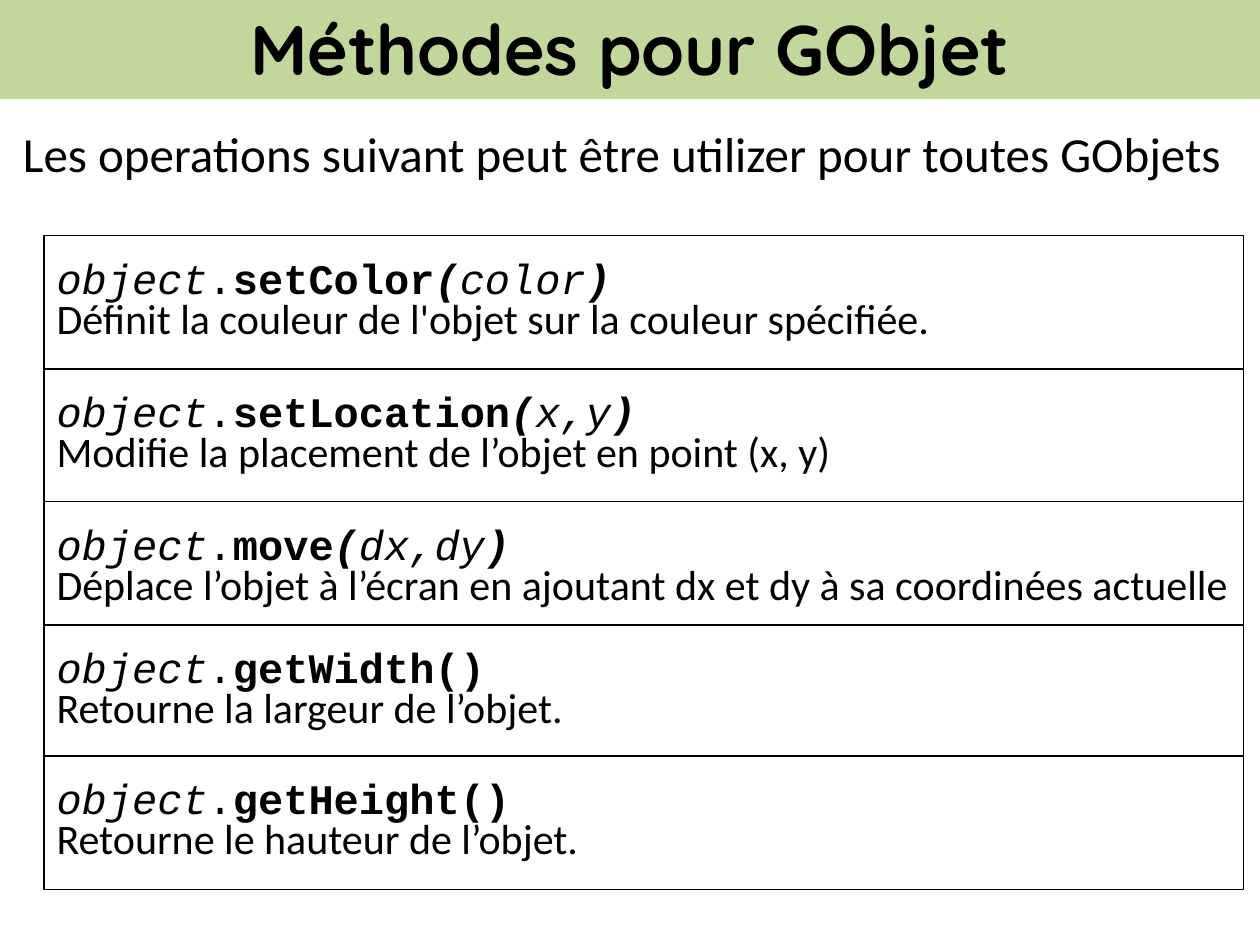
from dataclasses import dataclass

from pptx import Presentation
from pptx import util as u
from pptx.dml.color import RGBColor
from pptx.enum import shapes, text


@dataclass(frozen=True)
class Theme:
    ink: RGBColor = RGBColor(0, 0, 0)
    paper: RGBColor = RGBColor(255, 255, 255)
    band: RGBColor = RGBColor(0xC3, 0xD6, 0x9B)
    head: str = "Quicksand"
    body: str = "Calibri"
    code: str = "Courier New"
    title: int = 40
    lead: int = 28
    small: int = 24


@dataclass(frozen=True)
class Method:
    top: float
    name: str
    args: str
    note: str


LOOK = Theme()
LEFT, WIDE, HIGH = 0.89, 24.18, 2.69
METHODS = [
    Method(4.75, "setColor", "color",
           "Définit la couleur de l'objet sur la couleur spécifiée."),
    Method(7.44, "setLocation", "x,y",
           "Modifie la placement de l’objet en point (x, y)"),
    Method(10.11, "move", "dx,dy",
           "Déplace l’objet à l’écran en ajoutant dx et dy à sa coordinées actuelle"),
    Method(12.6, "getWidth", "", "Retourne la largeur de l’objet."),
    Method(15.24, "getHeight", "", "Retourne le hauteur de l’objet."),
]


def add_run(para, words: str, face: str, size: int,
            bold: bool = False, slant: bool = False) -> None:
    run = para.add_run()
    run.text = words
    font = run.font
    font.name, font.size = face, u.Pt(size)
    font.bold, font.italic = bold, slant
    font.color.rgb = LOOK.ink


def add_rect(slide, left: float, top: float, wide: float, high: float,
             fill: RGBColor, edge: bool):
    rect = slide.shapes.add_shape(
        shapes.MSO_SHAPE.RECTANGLE,
        u.Cm(left), u.Cm(top), u.Cm(wide), u.Cm(high))
    rect.shadow.inherit = False
    rect.fill.solid()
    rect.fill.fore_color.rgb = fill
    if edge:
        rect.line.color.rgb = LOOK.ink
        rect.line.width = u.Pt(0.75)
    else:
        rect.line.fill.background()
    rect.text_frame.vertical_anchor = text.MSO_ANCHOR.MIDDLE
    return rect


def add_title(slide, words: str) -> None:
    rect = add_rect(slide, 0, -0.08, 25.4, 2.08, LOOK.band, False)
    para = rect.text_frame.paragraphs[0]
    para.alignment = text.PP_ALIGN.CENTER
    add_run(para, words, LOOK.head, LOOK.title, bold=True)


def add_lead(slide, words: str) -> None:
    box = slide.shapes.add_textbox(u.Cm(0), u.Cm(2.36), u.Cm(25.07), u.Cm(1.45))
    frame = box.text_frame
    frame.word_wrap = True
    frame.auto_size = text.MSO_AUTO_SIZE.SHAPE_TO_FIT_TEXT
    para = frame.paragraphs[0]
    para.alignment = text.PP_ALIGN.CENTER
    add_run(para, words, LOOK.body, LOOK.lead)


def add_method(slide, item: Method) -> None:
    rect = add_rect(slide, LEFT, item.top, WIDE, HIGH, LOOK.paper, True)
    rect.text_frame.word_wrap = False
    para = rect.text_frame.paragraphs[0]
    para.alignment = text.PP_ALIGN.LEFT
    para.line_spacing = 0.8
    parts = [("object", False, True), (".", False, False)]
    if item.args:
        parts += [(item.name, True, False), ("(", True, True),
                  (item.args, False, True), (")", True, True)]
    else:
        parts.append((item.name + "()", True, False))
    for words, bold, slant in parts:
        add_run(para, words, LOOK.code, LOOK.small, bold, slant)
    para.add_line_break()
    add_run(para, item.note, LOOK.body, LOOK.small)


def main() -> None:
    deck = Presentation()
    deck.slide_width, deck.slide_height = u.Cm(25.4), u.Cm(19.05)
    slide = deck.slides.add_slide(deck.slide_layouts[6])
    add_title(slide, "Méthodes pour GObjet")
    add_lead(slide, "Les operations suivant peut être utilizer pour toutes GObjets")
    for item in METHODS:
        add_method(slide, item)
    deck.save("out.pptx")


if __name__ == "__main__":
    main()
